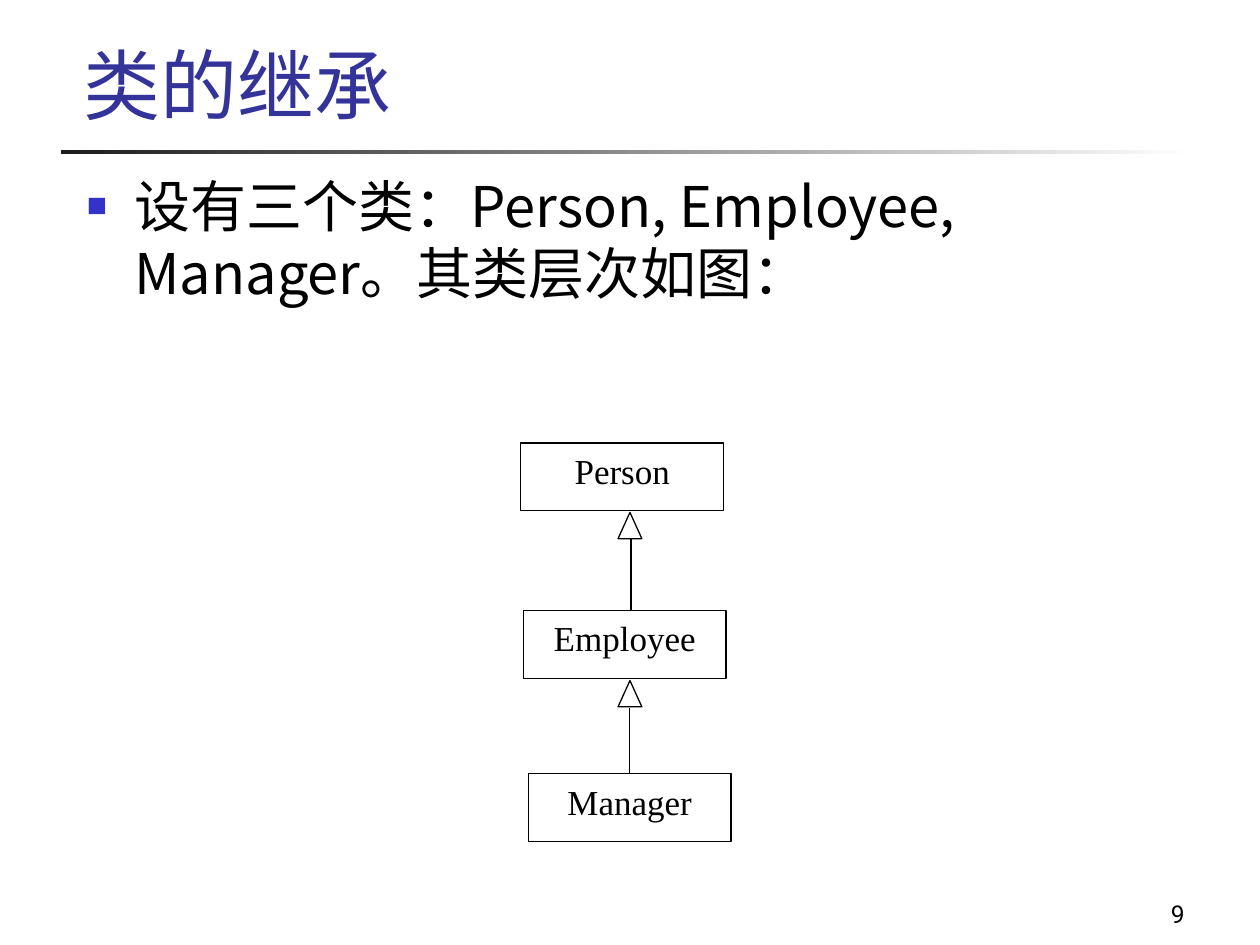
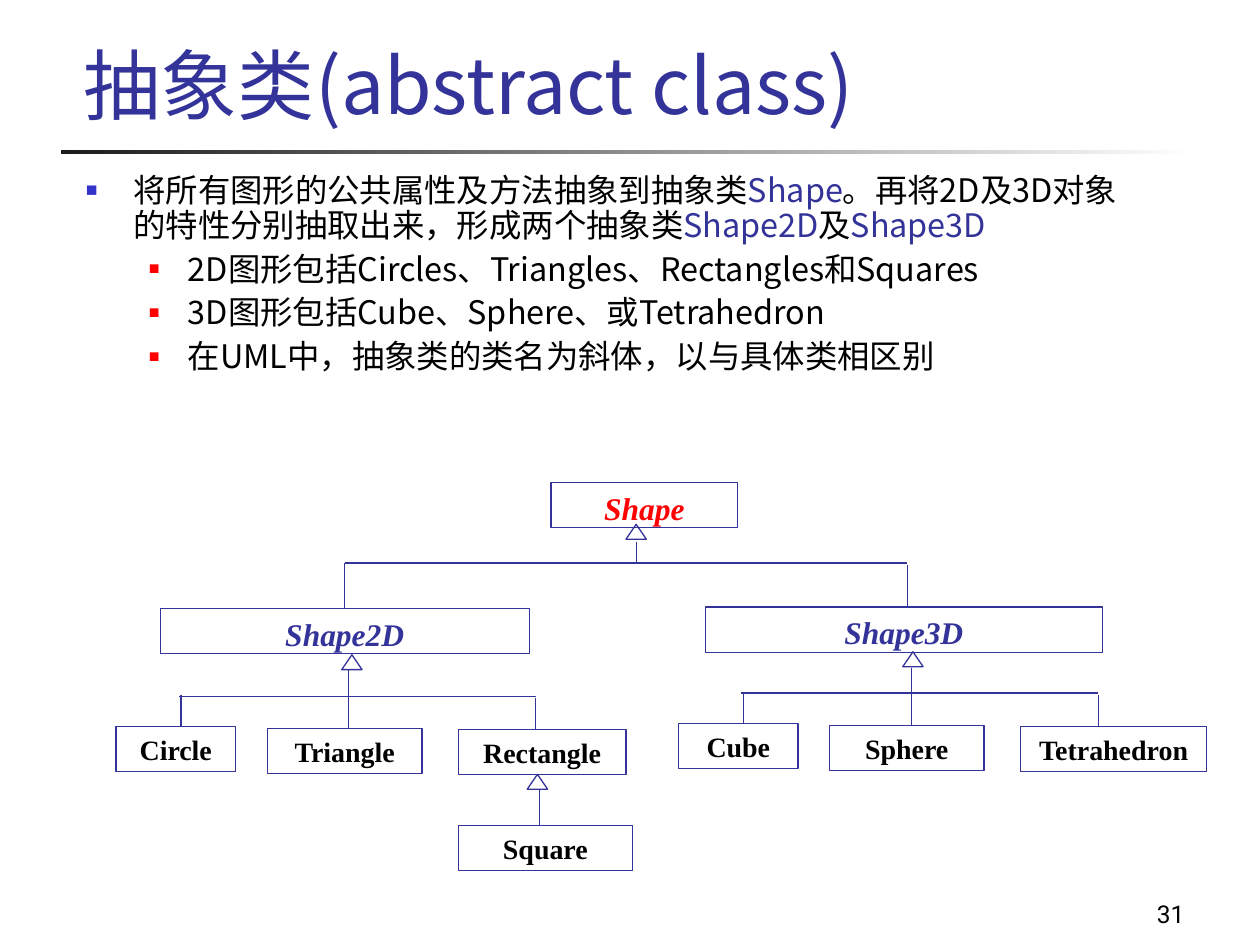
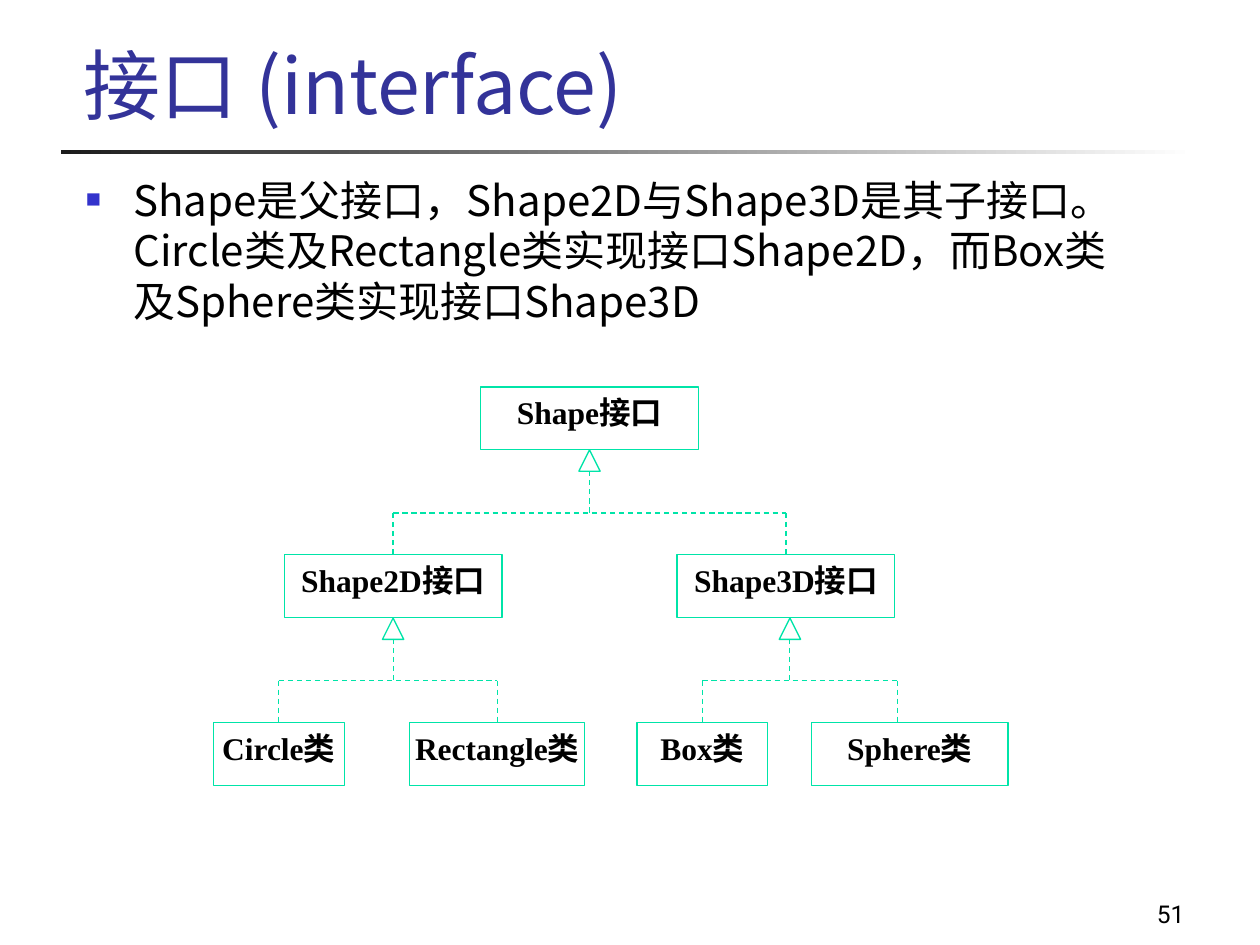
from lxml import etree
from pptx import Presentation
from pptx.dml.color import RGBColor
from pptx.enum.dml import MSO_LINE_DASH_STYLE as DASH
from pptx.enum.shapes import MSO_CONNECTOR as CONNECTOR, MSO_SHAPE as SHAPE
from pptx.enum.text import MSO_ANCHOR as ANCHOR, PP_ALIGN as ALIGN
from pptx.oxml.ns import qn
from pptx.util import Cm, Pt

# Colours and fonts
BLACK = RGBColor(0x00, 0x00, 0x00)
CHARCOAL = RGBColor(0x1C, 0x1C, 0x1C)
WHITE = RGBColor(0xFF, 0xFF, 0xFF)
NAVY = RGBColor(0x33, 0x33, 0x99)
BLUE = RGBColor(0x33, 0x33, 0xCC)
RED = RGBColor(0xFF, 0x00, 0x00)
GREEN = RGBColor(0x00, 0xE4, 0xA8)
SANS, SERIF, DIGITS = "Noto Sans CJK JP", "Times New Roman", "Roboto"

# Bullet levels: left margin, hanging indent, colour, size in percent
BULLETS = [(Cm(0.96), Cm(-0.96), BLUE, 60), (Cm(2.06), Cm(-0.79), RED, 55)]

TITLE = {"name": SANS, "size": Pt(44)}
NUMBER = {"name": DIGITS, "size": Pt(14)}
ROOT = {"name": SERIF, "size": Pt(18), "bold": True, "italic": True}
LEAF = {"name": SERIF, "size": Pt(16), "bold": True}
PLAIN = {"name": SERIF, "size": Pt(20)}
INTERFACE = {"name": SERIF, "size": Pt(18), "bold": True}

# Lengths are centimetres.
# boxes: text, left, top, width, format, colour
# drops: box below, start y, x (None means the middle of the box)
# links: x1, y1, x2, y2
SLIDES = [
    {
        "title": "类的继承", "number": "9",
        "body_box": (1.5, 3.33, 21.59, 13.97), "body_size": 32,
        "spacing": {"space_before": Pt(8)},
        "body": [(0, [("设有三个类：Person, Employee, Manager。其类层次如图：", BLACK)])],
        "line": BLACK, "dash": None, "wrap": True, "box_height": 1.37,
        "boxes": [
            ("Person", 10.5, 8.93, 4.09, PLAIN, BLACK),
            ("Employee", 10.55, 12.31, 4.09, PLAIN, BLACK),
            ("Manager", 10.65, 15.6, 4.09, PLAIN, BLACK),
        ],
        "arrow_size": (0.48, 0.53),
        "arrows": [(12.46, 10.33), (12.46, 13.72)],
        "drops": [("Employee", 10.87, 12.72), ("Manager", 14.27, None)],
        "links": [],
    },
    {
        "title": "抽象类(abstract class)", "number": "31",
        "body_box": (1.48, 3.39, 21.59, 5.74), "body_size": 18.5,
        "spacing": {"space_before": Pt(5), "line_spacing": 0.9},
        "body": [
            (0, [("将所有图形的公共属性及方法抽象到抽象类", BLACK), ("Shape", NAVY),
                 ("。再将2D及3D对象的特性分别抽取出来，形成两个抽象类", BLACK),
                 ("Shape2D", NAVY), ("及", BLACK), ("Shape3D", NAVY)]),
            (1, [("2D图形包括Circles、Triangles、Rectangles和Squares", BLACK)]),
            (1, [("3D图形包括Cube、Sphere、或Tetrahedron", BLACK)]),
            (1, [("在UML中，抽象类的类名为斜体，以与具体类相区别", BLACK)]),
        ],
        "line": NAVY, "dash": None, "wrap": True, "box_height": 0.91,
        "boxes": [
            ("Shape", 11.11, 9.73, 3.76, ROOT, RED),
            ("Shape2D", 3.23, 12.27, 7.44, ROOT, NAVY),
            ("Shape3D", 14.22, 12.24, 8, ROOT, NAVY),
            ("Circle", 2.34, 14.65, 2.41, LEAF, BLACK),
            ("Triangle", 5.39, 14.68, 3.12, LEAF, BLACK),
            ("Rectangle", 9.24, 14.71, 3.38, LEAF, BLACK),
            ("Square", 9.24, 16.64, 3.51, LEAF, BLACK),
            ("Cube", 13.68, 14.58, 2.41, LEAF, BLACK),
            ("Sphere", 16.72, 14.62, 3.12, LEAF, BLACK),
            ("Tetrahedron", 20.57, 14.65, 3.76, LEAF, BLACK),
        ],
        "arrow_size": (0.41, 0.3),
        "arrows": [(12.62, 10.57), (6.89, 13.2), (10.63, 15.61), (18.2, 13.14)],
        "drops": [
            ("Shape2D", 11.35, None), ("Shape3D", 11.38, 18.29),
            ("Circle", 14.02, 3.65), ("Triangle", 13.51, 7.03),
            ("Rectangle", 14.07, 10.8), ("Square", 15.93, 10.87),
            ("Cube", 13.97, 14.99), ("Sphere", 13.46, 18.37),
            ("Tetrahedron", 14.02, 22.14),
        ],
        "links": [
            (12.83, 10.92, 12.83, 11.33), (6.96, 11.35, 18.29, 11.35),
            (3.61, 14.04, 10.8, 14.04), (14.94, 13.97, 22.14, 13.97),
        ],
    },
    {
        "title": "接口 (interface)", "number": "51",
        "body_box": (1.48, 3.39, 21.59, 3.33), "body_size": 24,
        "spacing": {"space_before": Pt(6)},
        "body": [(0, [("Shape是父接口，Shape2D与Shape3D是其子接口。Circle类及Rectangle类"
                       "实现接口Shape2D，而Box类及Sphere类实现接口Shape3D", BLACK)])],
        "line": GREEN, "dash": DASH.DASH, "wrap": False, "box_height": 1.27,
        "boxes": [
            ("Shape接口", 9.69, 7.8, 4.39, INTERFACE, BLACK),
            ("Shape2D接口", 5.73, 11.18, 4.39, INTERFACE, BLACK),
            ("Shape3D接口", 13.65, 11.18, 4.39, INTERFACE, BLACK),
            ("Circle类", 4.3, 14.57, 2.64, INTERFACE, BLACK),
            ("Rectangle类", 8.26, 14.57, 3.53, INTERFACE, BLACK),
            ("Box类", 12.84, 14.57, 2.64, INTERFACE, BLACK),
            ("Sphere类", 16.36, 14.57, 3.96, INTERFACE, BLACK),
        ],
        "arrow_size": (0.43, 0.43),
        "arrows": [(11.67, 9.07), (7.71, 12.46), (15.71, 12.46)],
        "drops": [
            ("Shape2D接口", 10.34, None), ("Shape3D接口", 10.34, None),
            ("Circle类", 13.72, None), ("Rectangle类", 13.72, None),
            ("Box类", 13.72, None), ("Sphere类", 13.72, 18.09),
        ],
        "links": [
            (11.89, 9.5, 11.89, 10.34), (7.93, 10.34, 15.85, 10.34),
            (7.93, 12.88, 7.93, 13.72), (5.62, 13.72, 10.02, 13.72),
            (15.92, 12.88, 15.92, 13.72), (14.16, 13.72, 18.13, 13.72),
        ],
    },
]


def add_run(paragraph, text, formats, color):
    run = paragraph.add_run()
    run.text = text
    for name, value in formats.items():
        setattr(run.font, name, value)
    run.font.color.rgb = color
    etree.SubElement(run.font._element, qn("a:ea"), typeface=SANS)


def add_line(slide, ends, color, dash):
    line = slide.shapes.add_connector(CONNECTOR.STRAIGHT, *ends)
    line.line.color.rgb = color
    line.line.width = Pt(0.75)
    if dash:
        line.line.dash_style = dash
    etree.SubElement(line._element.spPr, qn("a:effectLst"))
    return line


presentation = Presentation()
presentation.slide_width, presentation.slide_height = Cm(25.4), Cm(19.05)

for content in SLIDES:
    slide = presentation.slides.add_slide(presentation.slide_layouts[6])

    # Fading rule below the title
    rule = slide.shapes.add_shape(SHAPE.RECTANGLE, Cm(1.23), Cm(3.02), Cm(22.86), Cm(0.08))
    rule.shadow.inherit = False
    rule.line.fill.background()
    rule.fill.gradient()
    rule.fill.gradient_angle = 0
    for stop, color in zip(rule.fill.gradient_stops, (CHARCOAL, WHITE)):
        stop.color.rgb = color

    # Title and slide number
    for text, place, formats, color, align in (
        (content["number"], (18.85, 17.58, 5.28, 1.27), NUMBER, BLACK, ALIGN.RIGHT),
        (content["title"], (1.44, 0.41, 21.64, 2.34), TITLE, NAVY, ALIGN.LEFT),
    ):
        frame = slide.shapes.add_textbox(*map(Cm, place)).text_frame
        frame.word_wrap = True
        frame.vertical_anchor = ANCHOR.BOTTOM
        frame.paragraphs[0].alignment = align
        add_run(frame.paragraphs[0], text, formats, color)

    # Bulleted body; punctuation stays inside the margin
    frame = slide.shapes.add_textbox(*map(Cm, content["body_box"])).text_frame
    frame.word_wrap = True
    for index, (level, runs) in enumerate(content["body"]):
        paragraph = frame.add_paragraph() if index else frame.paragraphs[0]
        paragraph.level = level
        for name, value in content["spacing"].items():
            setattr(paragraph, name, value)
        margin, indent, color, percent = BULLETS[level]
        properties = paragraph._p.get_or_add_pPr()
        for name, value in {"marL": margin, "indent": indent, "hangingPunct": 0}.items():
            properties.set(name, str(value))
        bullet_color = etree.SubElement(properties, qn("a:buClr"))
        etree.SubElement(bullet_color, qn("a:srgbClr"), val=str(color))
        etree.SubElement(properties, qn("a:buSzPct"), val=str(percent * 1000))
        etree.SubElement(properties, qn("a:buFont"), typeface=SERIF)
        etree.SubElement(properties, qn("a:buChar"), char="■")
        for text, color in runs:
            add_run(paragraph, text, {"name": SANS, "size": Pt(content["body_size"])}, color)

    # Class boxes and inheritance arrowheads
    boxes = {}
    outlined = []
    for text, left, top, width, formats, color in content["boxes"]:
        box = slide.shapes.add_shape(
            SHAPE.RECTANGLE, Cm(left), Cm(top), Cm(width), Cm(content["box_height"]))
        frame = box.text_frame
        frame.word_wrap = content["wrap"]
        frame.vertical_anchor = ANCHOR.TOP
        frame.paragraphs[0].alignment = ALIGN.CENTER
        add_run(frame.paragraphs[0], text, formats, color)
        boxes[text] = box
        outlined.append(box)
    for left, top in content["arrows"]:
        outlined.append(slide.shapes.add_shape(
            SHAPE.ISOSCELES_TRIANGLE, Cm(left), Cm(top), *map(Cm, content["arrow_size"])))
    for shape in outlined:
        shape.shadow.inherit = False
        shape.fill.background()
        shape.line.color.rgb = content["line"]
        shape.line.width = Pt(0.75)

    # Lines down to the boxes, then trunks and crossbars
    for name, start, x in content["drops"]:
        box = boxes[name]
        middle = box.left + box.width // 2 if x is None else Cm(x)
        ends = (middle, Cm(start), middle, box.top)
        line = add_line(slide, ends, content["line"], content["dash"])
        if x is None:
            line.end_connect(box, 0)
    for link in content["links"]:
        add_line(slide, map(Cm, link), content["line"], content["dash"])

presentation.save("out.pptx")
